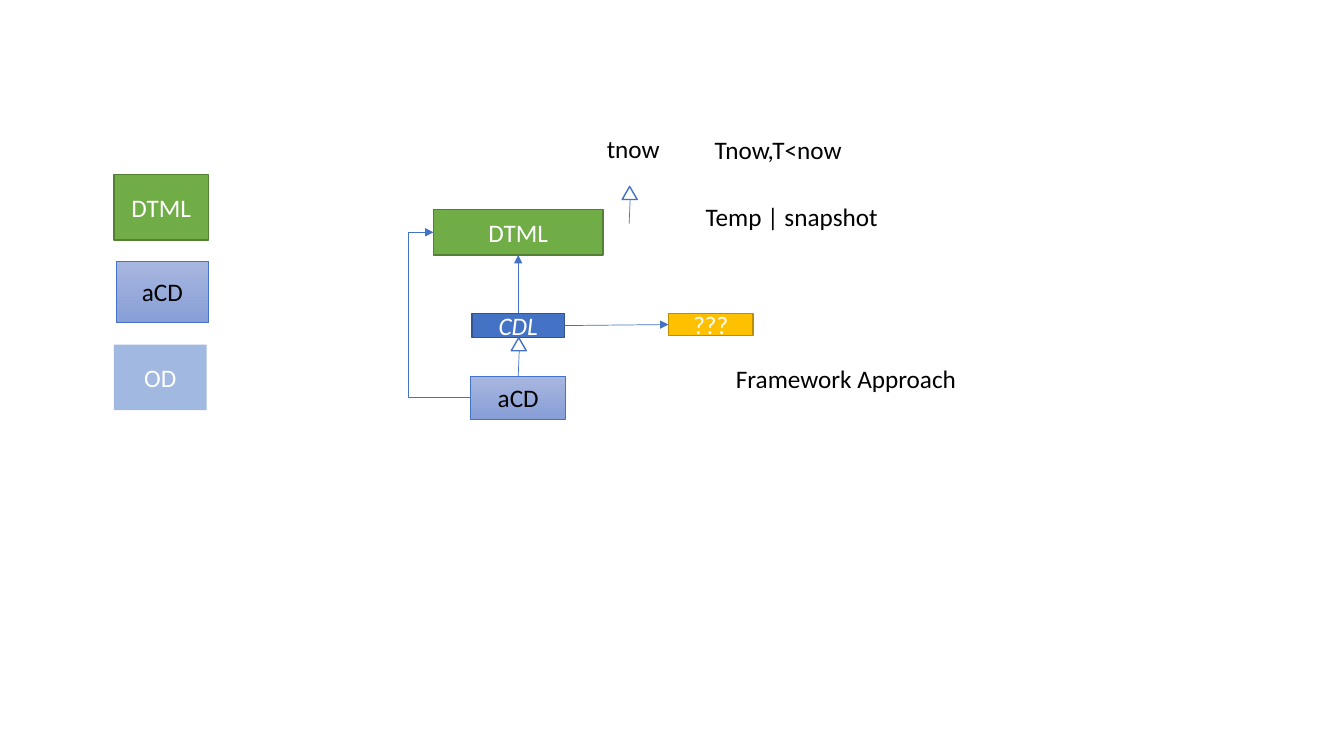
from dataclasses import dataclass

from lxml import etree
from pptx import Presentation
from pptx.dml import color
from pptx.enum import shapes, text
from pptx.oxml import ns
from pptx.util import Pt

PX = 9144
TOP, LEFT, BOTTOM, RIGHT = range(4)


@dataclass(frozen=True)
class Theme:
    font: str = "Calibri"
    size: int = 18
    thin: float = 0.5
    thick: float = 1
    dark: str = "000000"
    light: str = "FFFFFF"
    blue: str = "4472C4"
    blue_edge: str = "325491"
    green: str = "70AD47"
    green_edge: str = "538035"
    gold: str = "FFC000"
    gold_edge: str = "BD8E00"
    pale: tuple = ("A8B7DF", "889ED7")


T = Theme()
GREEN = dict(fill=T.green, edge=T.green_edge)
PALE = dict(fill=T.pale, edge=T.blue, width=T.thin, ink=T.dark)


def rgb(value):
    return color.RGBColor.from_string(value)


def px(*values):
    return [v * PX for v in values]


def add_child(parent, tag, **attrs):
    return etree.SubElement(parent, ns.qn(tag), attrs)


def write(tf, content, ink=T.dark, italic=False, align=text.PP_ALIGN.LEFT):
    tf.word_wrap = True
    p = tf.paragraphs[0]
    p.alignment = align
    r = p.add_run()
    r.text = content
    r.font.name = T.font
    r.font.size = Pt(T.size)
    r.font.italic = italic
    r.font.color.rgb = rgb(ink)


def paint(sp, fill, edge=None, width=T.thick, alpha=None):
    sp.shadow.inherit = False
    if isinstance(fill, tuple):
        sp.fill.gradient()
        sp.fill.gradient_angle = 270
        for stop, value in zip(sp.fill.gradient_stops, fill):
            stop.color.rgb = rgb(value)
    else:
        sp.fill.solid()
        sp.fill.fore_color.rgb = rgb(fill)
    if alpha:
        clr = sp._element.spPr.find(".//" + ns.qn("a:srgbClr"))
        add_child(clr, "a:alpha", val=str(alpha * 1000))
    if edge:
        sp.line.color.rgb = rgb(edge)
        sp.line.width = Pt(width)
    else:
        sp.line.fill.background()


def box(s, content, bounds, ink=T.light, italic=False, **style):
    sp = s.shapes.add_shape(shapes.MSO_SHAPE.RECTANGLE, *px(*bounds))
    paint(sp, **style)
    sp.text_frame.vertical_anchor = text.MSO_ANCHOR.MIDDLE
    write(sp.text_frame, content, ink, italic, text.PP_ALIGN.CENTER)
    return sp


def label(s, content, x, y, w):
    tf = s.shapes.add_textbox(*px(x, y, w, 40)).text_frame
    write(tf, content)
    tf.auto_size = text.MSO_AUTO_SIZE.SHAPE_TO_FIT_TEXT


def connector(s, kind, *ends):
    line = s.shapes.add_connector(kind, *px(*ends))
    line.line.color.rgb = rgb(T.blue)
    line.line.width = Pt(T.thin)
    add_child(line._element.spPr, "a:effectLst")
    return line


def arrow(s, start, start_site, end, end_site, bend=None):
    kinds = shapes.MSO_CONNECTOR
    line = connector(s, kinds.ELBOW if bend else kinds.STRAIGHT, 0, 0, 0, 0)
    line.begin_connect(start, start_site)
    line.end_connect(end, end_site)
    add_child(line.line._get_or_add_ln(), "a:tailEnd", type="triangle")
    if bend:
        guides = line._element.spPr.prstGeom.get_or_add_avLst()
        add_child(guides, "a:gd", name="adj1", fmla=f"val {bend}")


def inheritance(s, x, y, length):
    sp = s.shapes.add_shape(shapes.MSO_SHAPE.ISOSCELES_TRIANGLE, *px(x, y, 15, 13))
    paint(sp, T.light, T.blue)
    connector(s, shapes.MSO_CONNECTOR.STRAIGHT, x + 8, y + 13, x + 7, y + 13 + length)


def main():
    prs = Presentation()
    prs.slide_width, prs.slide_height = px(1333, 750)
    s = prs.slides.add_slide(prs.slide_layouts[6])

    acd = box(s, "aCD", (467, 373, 94, 43), **PALE)
    cdl = box(s, "CDL", (468, 311, 92, 24), fill=T.blue, edge=T.blue_edge, italic=True)
    inheritance(s, 507, 335, 25)
    dtml = box(s, "DTML", (430, 208, 168, 45), **GREEN)
    unknown = box(s, "???", (663, 311, 84, 22), fill=T.gold, edge=T.gold_edge)
    arrow(s, cdl, TOP, dtml, BOTTOM)
    arrow(s, acd, LEFT, dtml, LEFT, bend=168100)
    arrow(s, cdl, RIGHT, unknown, LEFT)
    inheritance(s, 617, 185, 24)

    box(s, "DTML", (113, 173, 94, 65), **GREEN)
    box(s, "aCD", (115, 259, 92, 61), **PALE)
    box(s, "OD", (113, 342, 92, 65), fill=T.blue, alpha=50)

    label(s, "tnow", 592, 127, 84)
    label(s, "Tnow,T<now", 699, 128, 211)
    label(s, "Temp | snapshot", 690, 195, 229)
    label(s, "Framework Approach", 720, 356, 289)

    prs.save("out.pptx")


if __name__ == "__main__":
    main()
